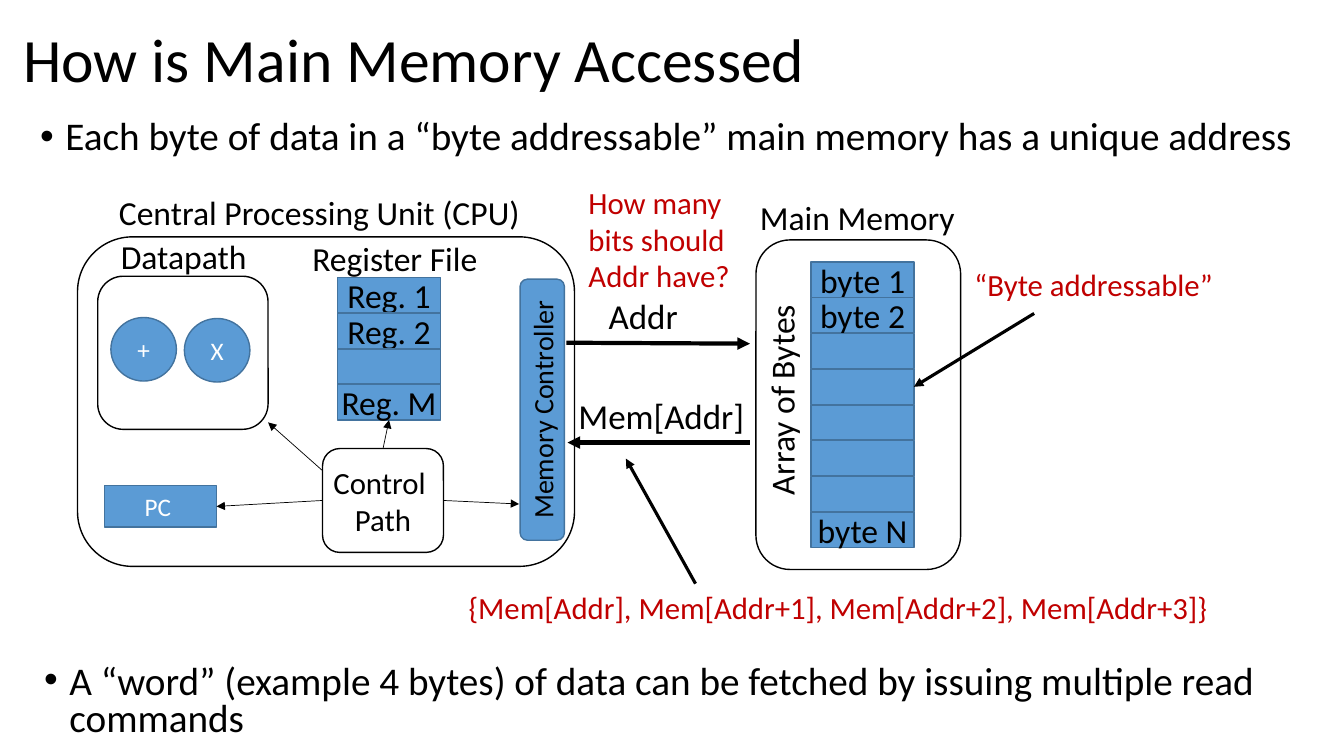
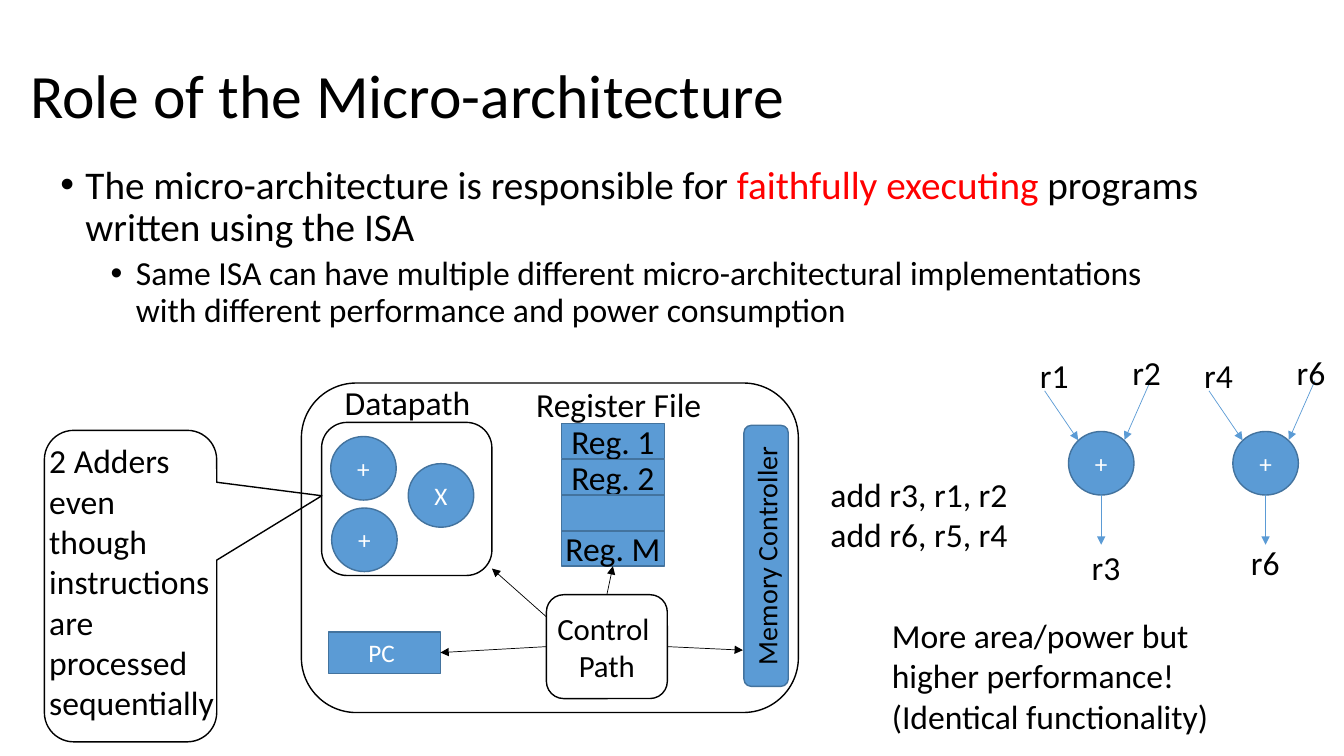
import pptx
import pptx.dml.color
import pptx.enum.shapes
import pptx.enum.text
import pptx.oxml.ns
import pptx.util
from lxml import etree

Pt = pptx.util.Pt
SHAPES = pptx.enum.shapes.MSO_SHAPE
ALIGN = pptx.enum.text.PP_ALIGN
ANCHOR = pptx.enum.text.MSO_ANCHOR
AUTO_SIZE = pptx.enum.text.MSO_AUTO_SIZE
qn = pptx.oxml.ns.qn

FONT = "Calibri"
BLACK, WHITE = "000000", "FFFFFF"
BLUE, EDGE = "5B9BD5", "43739E"
DARK_RED, RED = "C00000", "FF0000"
ROW_WIDTH, ROW_HEIGHT = 73.4, 25.2
CIRCLE_WIDTH, CIRCLE_HEIGHT = 46.8, 45.4


def rgb(code):
    """Turn a hex string into a colour."""
    return pptx.dml.color.RGBColor.from_string(code)


def write(paragraph, text, size=24, color=BLACK, align=ALIGN.LEFT, spacing=None,
          before=None, bullet_indent=None):
    """Fill a paragraph from a string or a list of (string, colour) runs."""
    paragraph.alignment = align
    if spacing is not None:
        paragraph.line_spacing = spacing
    if before is not None:
        paragraph.space_before = Pt(before)
    if bullet_indent is not None:
        properties = paragraph._p.get_or_add_pPr()
        properties.set("marL", str(Pt(bullet_indent)))
        properties.set("indent", str(Pt(-18)))
        etree.SubElement(properties, qn("a:buFont"), typeface="Arial")
        etree.SubElement(properties, qn("a:buChar"), char="•")
    for words, run_color in [(text, color)] if isinstance(text, str) else text:
        run = paragraph.add_run()
        run.text = words
        run.font.name = FONT
        run.font.size = Pt(size)
        run.font.color.rgb = rgb(run_color)


def write_lines(frame, text, **style):
    """Write each line of the text as a paragraph of the frame."""
    for index, line in enumerate(text.split("\n")):
        write(frame.add_paragraph() if index else frame.paragraphs[0], line, **style)


def turn_up(shape):
    """Make the text of a shape read from bottom to top."""
    shape.element.txBody.bodyPr.set("vert", "vert270")


def add_label(slide, text, left, top, width, height=36, wrap=False, **style):
    """Add a text box and return it."""
    label = slide.shapes.add_textbox(Pt(left), Pt(top), Pt(width), Pt(height))
    label.text_frame.word_wrap = wrap
    label.text_frame.auto_size = AUTO_SIZE.SHAPE_TO_FIT_TEXT
    write_lines(label.text_frame, text, **style)
    return label


def add_block(slide, kind, left, top, width, height, text="", fill=BLUE, line=EDGE,
              **style):
    """Add a preset shape with centred text and return it."""
    block = slide.shapes.add_shape(kind, Pt(left), Pt(top), Pt(width), Pt(height))
    block.shadow.inherit = False
    if fill:
        block.fill.solid()
        block.fill.fore_color.rgb = rgb(fill)
    else:
        block.fill.background()
    block.line.color.rgb = rgb(line)
    block.line.width = Pt(1)
    if text:
        frame = block.text_frame
        frame.word_wrap = False
        frame.vertical_anchor = ANCHOR.MIDDLE
        frame.margin_left = frame.margin_right = frame.margin_top = frame.margin_bottom = 0
        write_lines(frame, text, align=ALIGN.CENTER, **style)
    return block


def add_outline(slide, left, top, width, height, text="", **style):
    """Add an unfilled rounded box with a black edge."""
    return add_block(slide, SHAPES.ROUNDED_RECTANGLE, left, top, width, height, text,
                     fill=None, line=BLACK, **style)


def add_unit(slide, sign, left, top):
    """Add a circle for an arithmetic unit."""
    add_block(slide, SHAPES.OVAL, left, top, CIRCLE_WIDTH, CIRCLE_HEIGHT, sign,
              size=18, color=WHITE)


def add_rows(slide, left, top, pitch, names):
    """Add a column of storage rows and return them."""
    return [add_block(slide, SHAPES.RECTANGLE, left, top + index * pitch,
                      ROW_WIDTH, ROW_HEIGHT, name)
            for index, name in enumerate(names)]


def add_arrow(slide, start, end, width=0.5, color=BLACK, begin_at=None, end_at=None):
    """Add an arrow, joined to (shape, side) pairs where these are given."""
    arrow = slide.shapes.add_connector(
        pptx.enum.shapes.MSO_CONNECTOR.STRAIGHT, *(Pt(value) for value in (*start, *end)))
    if begin_at:
        arrow.begin_connect(*begin_at)
    if end_at:
        arrow.end_connect(*end_at)
    arrow.line.color.rgb = rgb(color)
    arrow.line.width = Pt(width)
    etree.SubElement(arrow.line._get_or_add_ln(), qn("a:tailEnd"), type="triangle")
    etree.SubElement(arrow.element.spPr, qn("a:effectLst"))


def add_titled_slide(deck, text, left, top):
    """Add a title-only slide with its title set in place."""
    slide = deck.slides.add_slide(deck.slide_layouts[5])
    title = slide.shapes.title
    title.left, title.top, title.width, title.height = Pt(left), Pt(top), Pt(828), Pt(104.4)
    title.text_frame.vertical_anchor = ANCHOR.MIDDLE
    title.text_frame.auto_size = AUTO_SIZE.NONE
    write(title.text_frame.paragraphs[0], text, size=44, spacing=0.9)
    return slide


def add_bullets(slide, left, top, width, height):
    """Add an empty wrapping box for bullets and return its text frame."""
    box = slide.shapes.add_textbox(Pt(left), Pt(top), Pt(width), Pt(height))
    box.text_frame.word_wrap = True
    return box.text_frame


def add_cpu(slide, x, y, units):
    """Draw the processor with its top left corner at x, y."""
    add_outline(slide, x, y, 355, 235.4)
    for sign, left, top in units:
        add_unit(slide, sign, x + left, y + top)
    add_outline(slide, x + 14.4, y + 28.1, 121.7, 109.4)
    add_label(slide, "Datapath", x + 23.8, y - 4.3, 105.1)
    add_label(slide, "Register File", x + 160.6, y - 2.9, 133.9)
    counter = add_block(slide, SHAPES.RECTANGLE, x + 19.4, y + 177.8, 79.9, 29.5, "PC ",
                        size=18, color=WHITE)
    control = add_outline(slide, x + 175, y + 151.2, 86.4, 74.2, "Control \nPath", size=22)
    registers = add_rows(slide, x + 185.8, y + 28.8, 25.6, ["Reg. 1", "Reg. 2", "", "Reg. M"])
    controller = add_block(slide, SHAPES.ROUNDED_RECTANGLE, x + 316.1, y + 30.2, 31.7, 186.5,
                           "Memory Controller", size=20)
    turn_up(controller)
    add_arrow(slide, (x + 175, y + 188.3), (x + 99.3, y + 192.5),
              begin_at=(control, 1), end_at=(counter, 3))
    add_arrow(slide, (x + 175, y + 167), (x + 136.1, y + 132.5))
    add_arrow(slide, (x + 218.2, y + 151.2), (x + 222.5, y + 130.8),
              begin_at=(control, 0), end_at=(registers[-1], 2))
    add_arrow(slide, (x + 261.4, y + 188.3), (x + 315.4, y + 190.8), begin_at=(control, 3))


def add_main_memory(slide):
    """Draw the main memory and return its byte rows."""
    add_outline(slide, 540, 171.4, 146.2, 235.4)
    add_label(slide, "Main Memory", 535.7, 136.8, 154.8)
    array = add_label(slide, "Array of Bytes", 482.4, 267.1, 151.2)
    array.rotation = 270
    return add_rows(slide, 579.4, 187.2, 25.5,
                    ["byte 1", "byte 2", "", "", "", "", "", "byte N"])


def add_operation(slide, x, y, sources, target):
    """Draw an adder at x, y with its two source registers and its target."""
    add_unit(slide, "+", x, y)
    for name, label_left, label_top, start, end in (
            (sources[0], -27.5, -58, (-17, -29), (7, 6.3)),
            (sources[1], 38.5, -60.5, (58.7, -36.4), (40, 6))):
        add_arrow(slide, (x + start[0], y + start[1]), (x + end[0], y + end[1]), color=BLUE)
        add_label(slide, name, x + label_left, y + label_top, 35.3)
    middle = x + CIRCLE_WIDTH / 2
    bottom = y + CIRCLE_HEIGHT
    add_arrow(slide, (middle, bottom), (middle, bottom + 35.5), color=BLUE)
    name, label_left, label_top = target
    add_label(slide, name, x + label_left, y + label_top, 35.3)


def build_memory_slide(deck):
    """Build the slide on memory access."""
    slide = add_titled_slide(deck, "How is Main Memory Accessed", 9.4, -7.2)
    byte_rows = add_main_memory(slide)
    add_cpu(slide, 55.4, 169.2, [("+", 23.8, 57.6), ("X", 76.3, 58.3)])
    add_label(slide, "Central Processing Unit (CPU)", 77.8, 133.2, 303.1)
    add_label(slide, "Addr", 427.7, 206.6, 64.8, 37.4, size=25)
    add_label(slide, "Mem[Addr]", 406.1, 277.9, 134.6, 37.4, size=25)
    add_arrow(slide, (404.6, 244.8), (535.7, 245.5), width=3)
    add_arrow(slide, (535.7, 316.1), (405.4, 316.1), width=3)
    add_label(slide, "“Byte addressable”", 689, 186.5, 186.5, 60.5, size=22, color=DARK_RED)
    add_arrow(slide, (738.7, 223.9), (652.8, 276.3), width=2.25, end_at=(byte_rows[3], 3))
    add_label(slide, "How many bits should Addr have?", 413.3, 127.4, 134.6, 113.8,
              wrap=True, size=22, color=DARK_RED)
    add_label(slide, "{Mem[Addr], Mem[Addr+1], Mem[Addr+2], Mem[Addr+3]}",
              327.6, 416.9, 548.6, 60.5, size=22, color=DARK_RED)
    add_arrow(slide, (496.8, 416.9), (447.1, 327.6), width=2.25)
    for left, top, spacing, text in (
            (21.6, 79.9, 0.9, "Each byte of data in a “byte addressable” main memory "
                              "has a unique address"),
            (24.5, 471.6, 0.8, "A “word” (example 4 bytes) of data can be fetched by "
                               "issuing multiple read commands")):
        frame = add_bullets(slide, left, top, 951.1, 64.8)
        write(frame.paragraphs[0], text, size=28, spacing=spacing, before=10, bullet_indent=18)


def build_role_slide(deck):
    """Build the slide on the role of the micro-architecture."""
    slide = add_titled_slide(deck, "Role of the Micro-architecture", 14.4, 18)
    frame = add_bullets(slide, 36, 114.5, 828, 130)
    write(frame.paragraphs[0],
          [("The micro-architecture is responsible for ", BLACK),
           ("faithfully executing ", RED), ("programs written using the ISA", BLACK)],
          size=28, spacing=0.9, before=10, bullet_indent=18)
    write(frame.add_paragraph(),
          "Same ISA can have multiple different micro-architectural implementations "
          "with different performance and power consumption",
          spacing=0.9, before=5, bullet_indent=54)
    add_cpu(slide, 215.3, 273.6, [("+", 20.9, 38.2), ("X", 76.3, 57.6), ("+", 21.6, 89.3)])
    callout = add_block(slide, SHAPES.ROUNDED_RECTANGULAR_CALLOUT, 31.7, 307.4, 123.1, 222.5,
                        fill=None, line=BLACK)
    for index, value in enumerate((1.11, -0.29, 0.17)):
        callout.adjustments[index] = value
    add_label(slide, "2 Adders even though instructions are processed sequentially",
              28.1, 311, 136.1, 211, wrap=True)
    add_label(slide, "add r3, r1, r2\nadd r6, r5, r4", 586.1, 334.8, 147.6, 65.5)
    add_operation(slide, 763.2, 308.2, ("r1", "r2"), ("r3", 9.4, 79.2))
    add_operation(slide, 880.6, 308.2, ("r4", "r6"), ("r6", 5.8, 75.6))
    add_label(slide, "More area/power but\nhigher performance!\n(Identical functionality)",
              630, 435.6, 242.6, 94.3)


def main():
    """Build and save the deck."""
    deck = pptx.Presentation()
    deck.slide_width, deck.slide_height = Pt(960), Pt(540)
    build_memory_slide(deck)
    build_role_slide(deck)
    deck.save("out.pptx")


if __name__ == "__main__":
    main()
